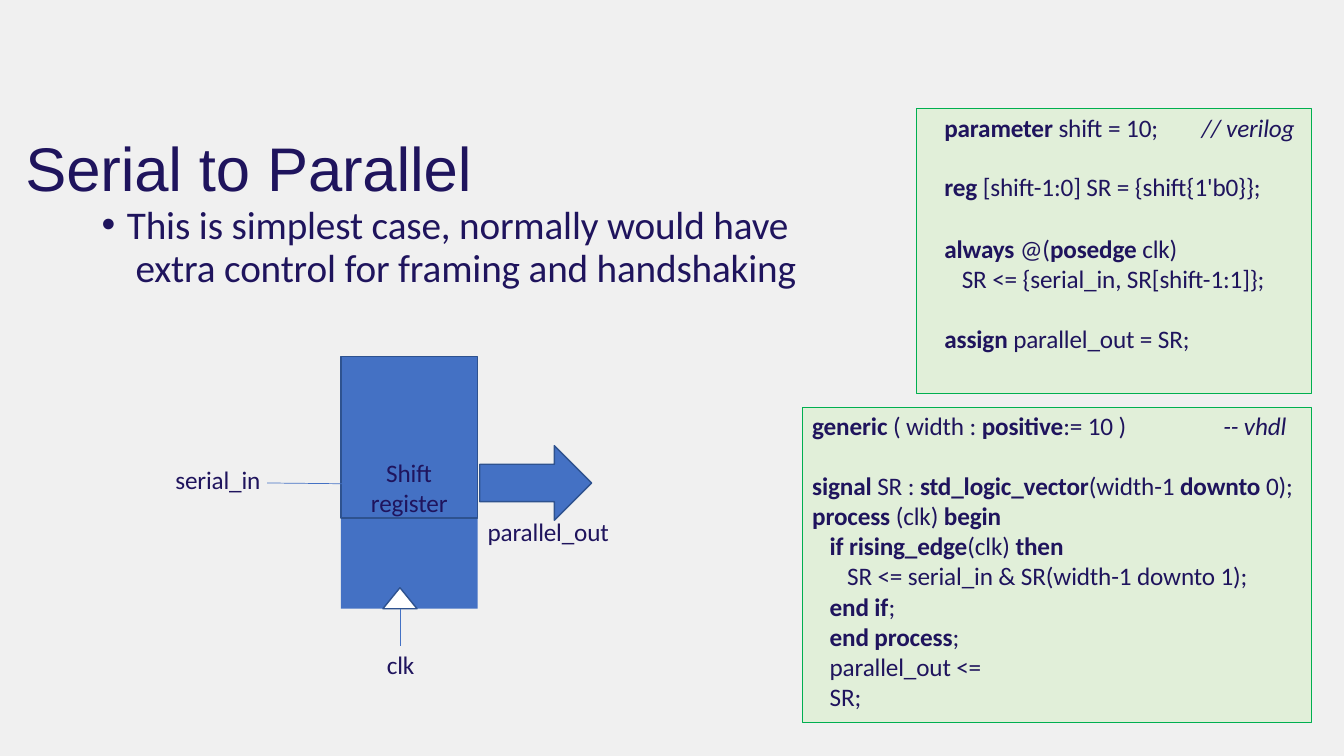
from dataclasses import dataclass, field

from lxml.etree import SubElement
from pptx import Presentation
from pptx.dml.color import RGBColor
from pptx.enum.shapes import MSO_CONNECTOR, MSO_SHAPE
from pptx.enum.text import MSO_ANCHOR, MSO_AUTO_SIZE, PP_ALIGN
from pptx.oxml.ns import qn
from pptx.util import Cm, Pt

INK, BLUE, EDGE = "1F145D", "4471C4", "2E528F"
MINT, GREEN, WHITE, GREY = "E1EFD9", "00AF50", "FFFFFF", "F0F0F0"
STEP = 0.44  # code indent, cm
GAP = 21     # space before a code block, pt

FRAME = {"margin_left": 0, "margin_right": 0, "margin_top": 0, "margin_bottom": 0,
         "word_wrap": True, "auto_size": MSO_AUTO_SIZE.NONE,
         "vertical_anchor": MSO_ANCHOR.TOP}
BODY = {"name": "Calibri", "size": Pt(18)}
POINT = BODY | {"size": Pt(28)}
HEAD = {"name": "Arial", "size": Pt(44), "bold": False}


@dataclass
class Line:
    """A paragraph: *bold*, ~italic to the end, \\v for a line break."""
    text: str
    depth: int = 0
    before: float = 0
    tab: float = 0


@dataclass
class Box:
    x: float
    y: float
    w: float
    h: float
    lines: list[Line] = field(default_factory=list)


@dataclass
class Form:
    kind: MSO_SHAPE
    x: float
    y: float
    w: float
    h: float
    fill: str = ""
    line: str = ""
    width: float = 1
    text: str = ""


@dataclass
class Wire:
    x1: float
    y1: float
    x2: float
    y2: float


FORMS = [
    Form(MSO_SHAPE.RECTANGLE, 23.1, 2.74, 9.95, 7.17, MINT, GREEN, 0.75),
    Form(MSO_SHAPE.RECTANGLE, 20.22, 10.26, 12.83, 7.95, MINT, GREEN, 0.75),
    Form(MSO_SHAPE.RECTANGLE, 8.59, 8.99, 3.45, 6.35, BLUE),
    Form(MSO_SHAPE.RECTANGLE, 8.59, 8.99, 3.45, 4.06, "", EDGE, 1, "Shift\vregister"),
    Form(MSO_SHAPE.ISOSCELES_TRIANGLE, 9.65, 14.81, 0.86, 0.53, WHITE, EDGE),
    Form(MSO_SHAPE.RIGHT_ARROW, 12.09, 11.23, 2.82, 1.88, BLUE, EDGE),
]

WIRES = [Wire(10.08, 15.34, 10.08, 16.28), Wire(6.73, 12.17, 8.66, 12.19)]

BOXES = [
    Box(23.8, 2.82, 8.92, 2.36, [
        Line("*parameter *shift = 10;\t~// verilog", tab=6.48),
        Line("*reg *[shift-1:0] SR = {shift{1'b0}};", before=GAP)]),
    Box(23.8, 5.87, 8.26, 1.6, [
        Line("*always *@(*posedge *clk)"),
        Line("SR <= {serial_in, SR[shift-1:1]};", 1)]),
    Box(23.8, 8.15, 6.3, 0.84, [Line("*assign *parallel_out = SR;")]),
    Box(20.47, 10.34, 12.29, 7.7, [
        Line("*generic *( width : *positive*:= 10 )\t~-- vhdl", tab=10.36),
        Line("*signal *SR : *std_logic_vector*(width-1 *downto *0);", before=GAP),
        Line("*process *(clk) *begin*"),
        Line("*if rising_edge*(clk) *then*", 1),
        Line("SR <= serial_in & SR(width-1 downto 1);", 2),
        Line("*end if*;", 1),
        Line("*end process*;\vparallel_out <=\vSR;", 1)]),
    Box(12.29, 13, 3.18, 0.84, [Line("parallel_out")]),
    Box(9.75, 16.36, 0.8, 0.84, [Line("clk")]),
    Box(4.42, 11.71, 2.3, 0.84, [Line("serial_in")]),
]


def style(item, vals: dict) -> None:
    for key, val in vals.items():
        setattr(item, key, val)


def paint(fill, tone: str) -> None:
    """Give a solid colour, or none for an empty tone."""
    if tone:
        fill.solid()
        fill.fore_color.rgb = RGBColor.from_string(tone)
    else:
        fill.background()


def add_run(para, text: str, font: dict) -> None:
    run = para.add_run()
    run.text = text
    style(run.font, font)
    paint(run.font.fill, INK)
    run._r.get_or_add_rPr().set("spc", "-10")


def write(para, text: str, font: dict) -> None:
    for row, part in enumerate(text.split("\v")):
        if row:
            para.add_line_break()
        plain, _, slant = part.partition("~")
        for turn, piece in enumerate(plain.split("*")):
            if piece:
                add_run(para, piece, font | {"bold": turn % 2 == 1})
        if slant:
            add_run(para, slant, font | {"italic": True})


def add_box(slide, box: Box, font: dict):
    shape = slide.shapes.add_textbox(*map(Cm, (box.x, box.y, box.w, box.h)))
    frame = shape.text_frame
    style(frame, FRAME)
    for row, line in enumerate(box.lines):
        para = frame.add_paragraph() if row else frame.paragraphs[0]
        props = para._p.get_or_add_pPr()
        if line.depth:
            props.set("marL", str(Cm(STEP * line.depth)))
        if line.tab:
            tabs = SubElement(props, qn("a:tabLst"))
            SubElement(tabs, qn("a:tab"), pos=str(Cm(line.tab)), algn="l")
        if line.before:
            para.space_before = Pt(line.before)
        write(para, line.text, font)
    return frame


def add_point(slide) -> None:
    text = "This is simplest case, normally would have\v extra control for framing and handshaking"
    frame = add_box(slide, Box(2.54, 5.18, 18.2, 2.13, [Line(text)]), POINT)
    para = frame.paragraphs[0]
    props = para._p.get_or_add_pPr()
    style(para, {"line_spacing": Pt(30.2)})
    props.set("marL", str(Cm(0.66)))
    props.set("indent", str(Cm(-0.64)))
    SubElement(props, qn("a:buFont"), typeface="Arial")
    SubElement(props, qn("a:buChar"), char="•")


def add_form(slide, form: Form) -> None:
    shape = slide.shapes.add_shape(form.kind, *map(Cm, (form.x, form.y, form.w, form.h)))
    shape.shadow.inherit = False
    paint(shape.fill, form.fill)
    paint(shape.line.fill, form.line)
    if form.line:
        shape.line.width = Pt(form.width)
    if form.text:
        style(shape.text_frame, FRAME | {"vertical_anchor": MSO_ANCHOR.BOTTOM})
        para = shape.text_frame.paragraphs[0]
        para.alignment = PP_ALIGN.CENTER
        write(para, form.text, BODY)


def add_wire(slide, wire: Wire) -> None:
    ends = map(Cm, (wire.x1, wire.y1, wire.x2, wire.y2))
    line = slide.shapes.add_connector(MSO_CONNECTOR.STRAIGHT, *ends)
    paint(line.line.fill, BLUE)
    line.line.width = Pt(0.5)
    SubElement(line._element.spPr, qn("a:effectLst"))


def set_title(slide) -> None:
    title = slide.shapes.title
    style(title, {"left": Cm(0.64), "top": Cm(3.28), "width": Cm(14.76), "height": Cm(1.93)})
    style(title.text_frame, FRAME)
    para = title.text_frame.paragraphs[0]
    para.alignment = PP_ALIGN.LEFT
    write(para, "Serial to Parallel", HEAD)


def main() -> None:
    deck = Presentation()
    style(deck, {"slide_width": Cm(33.87), "slide_height": Cm(19.05)})
    slide = deck.slides.add_slide(deck.slide_layouts[5])
    paint(slide.background.fill, GREY)
    set_title(slide)
    add_point(slide)
    for form in FORMS:
        add_form(slide, form)
    for wire in WIRES:
        add_wire(slide, wire)
    for box in BOXES:
        add_box(slide, box, BODY)
    deck.save("out.pptx")


if __name__ == "__main__":
    main()
